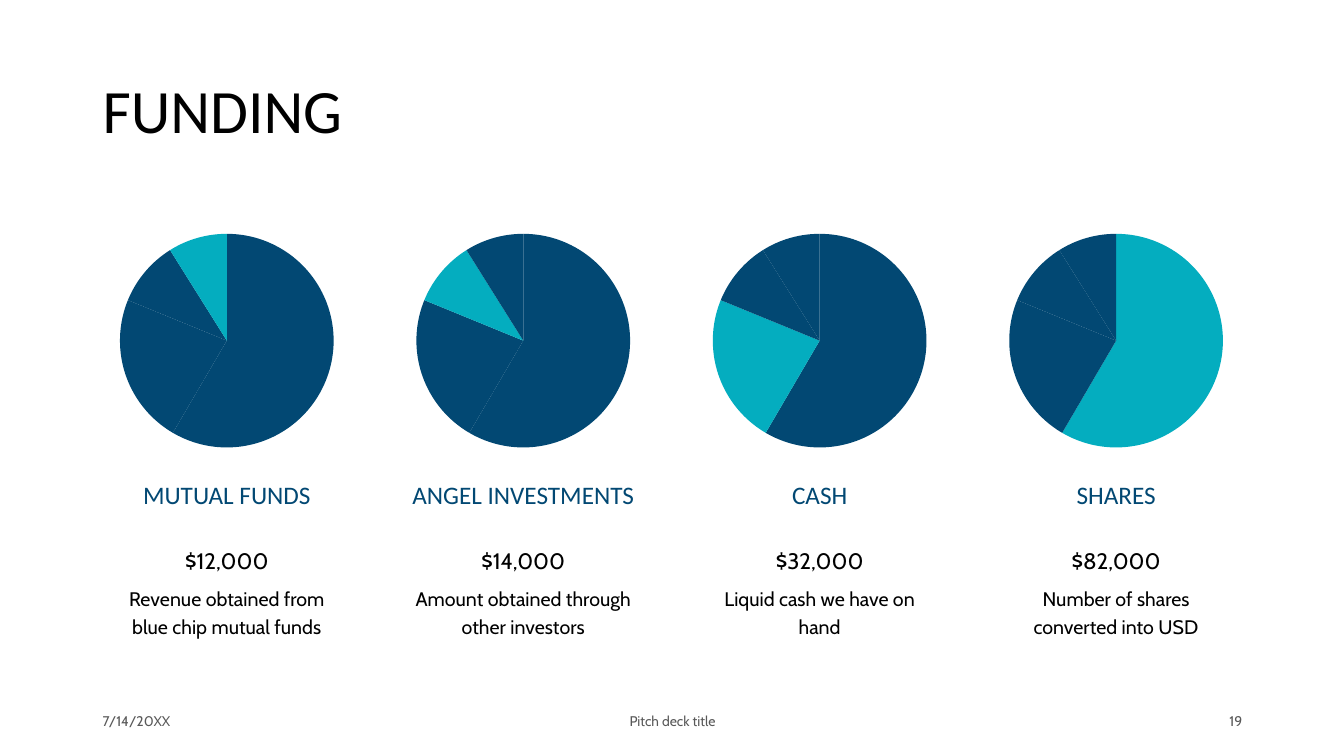
"""Build the funding slide: four pie charts with captions and a footer."""
from lxml import etree
from pptx import Presentation
from pptx.chart.data import CategoryChartData
from pptx.dml.color import RGBColor
from pptx.enum.chart import XL_CHART_TYPE as CHART
from pptx.enum.text import MSO_ANCHOR as ANCHOR, PP_ALIGN as ALIGN
from pptx.oxml import parse_xml
from pptx.oxml.ns import nsdecls
from pptx.util import Inches, Pt

COLORS = {"navy": "024873", "teal": "04ADBF", "black": "000000", "gray": "595959"}
SHARES = [59, 23, 10, 9]
FUNDS = [
    ("MUTUAL FUNDS", "$12,000", "Revenue obtained from blue chip mutual funds"),
    ("ANGEL INVESTMENTS", "$14,000", "Amount obtained through other investors"),
    ("CASH", "$32,000", "Liquid cash we have on hand"),
    ("SHARES", "$82,000", "Number of shares converted into USD"),
]
LEFT, PITCH, WIDTH = 1, 2.94, 2.5
PIE_TOP, PIE_HEIGHT, DIAMETER = 2.19, 2.38, 2.12

prs = Presentation()
prs.slide_width, prs.slide_height = Inches(13.33), Inches(7.5)
s = prs.slides.add_slide(prs.slide_layouts[6])


def add_text(text, x, y, w, h, size, color="black", font="Cabin",
             align=ALIGN.CENTER, anchor=ANCHOR.TOP, spacing=None):
    tf = s.shapes.add_textbox(Inches(x), Inches(y), Inches(w), Inches(h)).text_frame
    tf.word_wrap = True
    tf.vertical_anchor = anchor
    p = tf.paragraphs[0]
    p.text = text
    p.alignment = align
    p.line_spacing = spacing
    r = p.runs[0]
    r.font.size = Pt(size)
    r.font.name = font
    r.font.color.rgb = RGBColor.from_string(COLORS[color])


def add_pie(x, highlight):
    data = CategoryChartData()
    data.categories = ["1", "2", "3", "4"]
    data.add_series("Series 1", SHARES)
    chart = s.shapes.add_chart(CHART.PIE, Inches(x), Inches(PIE_TOP), Inches(WIDTH),
                               Inches(PIE_HEIGHT), data).chart
    chart.has_title = False
    chart.has_legend = False
    chart.font.size = Pt(10)
    chart.font.name = "Cabin"
    chart.font.color.rgb = RGBColor.from_string(COLORS["black"])
    plot = chart.plots[0]
    plot.vary_by_categories = True
    for i in range(len(SHARES)):
        fmt = plot.series[0].points[i].format
        fmt.fill.solid()
        fmt.fill.fore_color.rgb = RGBColor.from_string(
            COLORS["teal" if i == highlight else "navy"])
        fmt.line.fill.background()
    w, h = DIAMETER / WIDTH, DIAMETER / PIE_HEIGHT
    layout = parse_xml(f'<c:layout {nsdecls("c")}><c:manualLayout/></c:layout>')
    settings = [("layoutTarget", "inner"), ("xMode", "edge"), ("yMode", "edge"),
                ("x", (1 - w) / 2), ("y", (1 - h) / 2), ("w", w), ("h", h)]
    for tag, value in settings:
        namespace = etree.QName(layout).namespace
        etree.SubElement(layout[0], f"{{{namespace}}}{tag}").set("val", str(value))
    area = chart.element.chart.plotArea
    for old in area.findall(layout.tag):
        area.remove(old)
    area.insert(0, layout)


add_text("FUNDING", 0.92, 0.4, 11.5, 1.45, 44, font="Calibri",
         align=ALIGN.LEFT, anchor=ANCHOR.MIDDLE, spacing=0.9)

for i, (name, amount, detail) in enumerate(FUNDS):
    x = LEFT + i * PITCH
    add_pie(x, len(FUNDS) - 1 - i)
    add_text(name, x, 4.74, WIDTH, 0.6, 18, "navy", "Calibri", spacing=0.9)
    add_text(amount, x, 5.37, WIDTH, 0.3, 16, spacing=Pt(20))
    add_text(detail, x, 5.73, WIDTH, 0.8, 14, spacing=Pt(20))

FOOTER = [("7/14/20XX", 0.92, 3, ALIGN.LEFT),
          ("Pitch deck title", 4.42, 4.5, ALIGN.CENTER),
          ("19", 9.42, 3, ALIGN.RIGHT)]
for text, x, w, align in FOOTER:
    add_text(text, x, 6.95, w, 0.4, 10, "gray", align=align, anchor=ANCHOR.MIDDLE)

prs.save("out.pptx")
